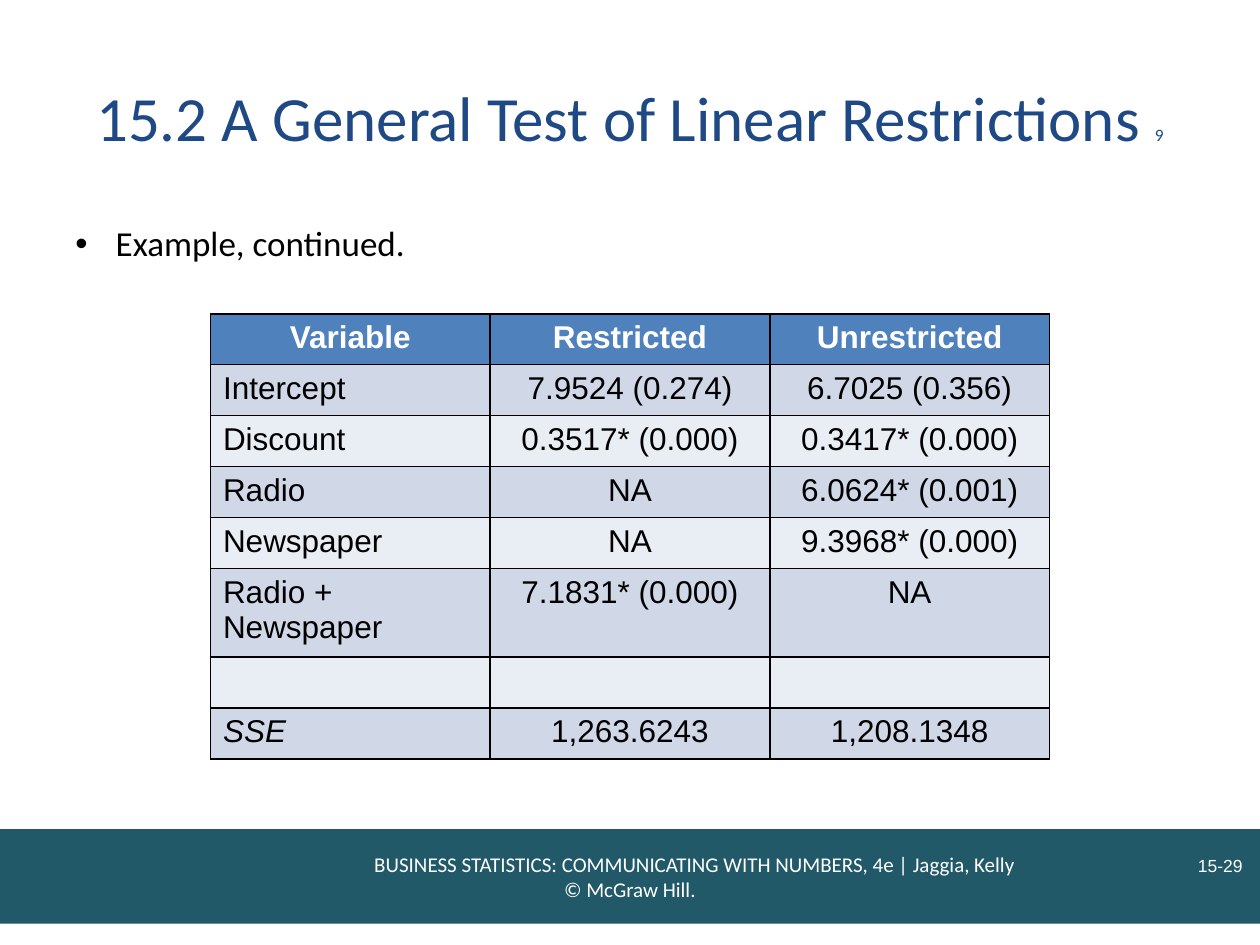
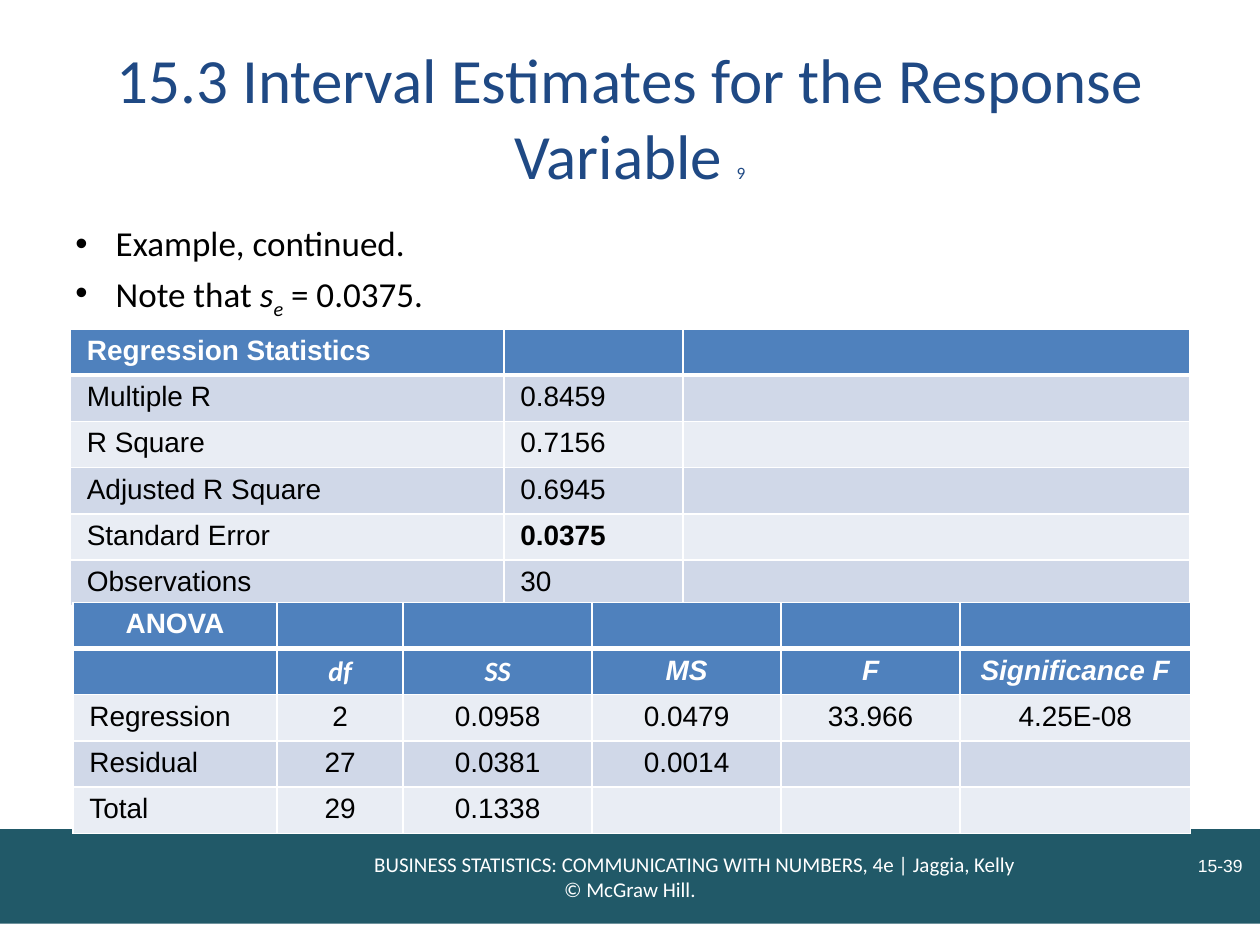
from dataclasses import dataclass
from typing import NamedTuple

from lxml import etree
from pptx import Presentation
from pptx.dml.color import RGBColor
from pptx.enum.shapes import MSO_SHAPE
from pptx.enum.text import MSO_ANCHOR, PP_ALIGN
from pptx.oxml.ns import qn
from pptx.util import Inches, Pt

LEFT, CENTER, RIGHT = PP_ALIGN.LEFT, PP_ALIGN.CENTER, PP_ALIGN.RIGHT
TOP, MIDDLE, BOTTOM = MSO_ANCHOR.TOP, MSO_ANCHOR.MIDDLE, MSO_ANCHOR.BOTTOM
RECTANGLE = MSO_SHAPE.RECTANGLE

SLIDE_WIDTH, SLIDE_HEIGHT = Inches(10), Inches(7.5)
COLUMN, ROW = SLIDE_WIDTH / 100, SLIDE_HEIGHT / 100
BLANK_LAYOUT = 6
HEADING_FONT, DATA_FONT = "Calibri", "Arial"
COLORS = {
    "title": "1F4984",
    "band": "215968",
    "header": "4F81BD",
    "odd_row": "D0D8E8",
    "even_row": "E9EDF4",
    "black": "000000",
    "white": "FFFFFF",
}
FOOTER_LINES = (
    "BUSINESS STATISTICS: COMMUNICATING WITH NUMBERS, 4e | Jaggia, Kelly",
    "© McGraw Hill.",
)
FOOTER_INDENT = Inches(1.03)
BULLET_INDENT = Inches(0.32)


class Area(NamedTuple):
    left: float
    top: float
    width: float
    height: float

    def lengths(self) -> tuple:
        return (
            round(self.left * COLUMN),
            round(self.top * ROW),
            round(self.width * COLUMN),
            round(self.height * ROW),
        )


class Piece(NamedTuple):
    text: str
    italic: bool = False
    baseline: int = 0


@dataclass(frozen=True)
class DataTable:
    area: Area
    column_widths: tuple
    rows: tuple
    size: float
    border: str
    header_rows: int = 1
    header_line: float = 1
    side_margin: float = 0.1
    centered: bool = True
    bold: tuple = ()
    italic: tuple = ()
    heading_font: tuple = ()


@dataclass(frozen=True)
class Page:
    title: str
    title_number: str
    slide_number: str
    bullets: tuple
    tables: tuple


TITLE_AREA = Area(5, 4, 90, 16.67)
BAND_AREA = Area(0, 87.73, 100, 10)
NUMBER_AREA = Area(84.6, 86.67, 15, 6.67)
BULLET_LEFT, BULLET_TOP, BULLET_WIDTH, BULLET_HEIGHT = 5, 23.33, 90, 5.6
CONTINUED = (Piece("Example, continued."),)

RESTRICTIONS = DataTable(
    area=Area(16.7, 33.2, 66.6, 43.2),
    column_widths=(22.2,) * 3,
    rows=(
        ("Variable", "Restricted", "Unrestricted"),
        ("Intercept", "7.9524 (0.274)", "6.7025 (0.356)"),
        ("Discount", "0.3517* (0.000)", "0.3417* (0.000)"),
        ("Radio", "NA", "6.0624* (0.001)"),
        ("Newspaper", "NA", "9.3968* (0.000)"),
        ("Radio + Newspaper", "7.1831* (0.000)", "NA"),
        ("", "", ""),
        ("SSE", "1,263.6243", "1,208.1348"),
    ),
    size=18,
    border="black",
    italic=((7, 0),),
)
REGRESSION = DataTable(
    area=Area(5.6, 34.8, 88.7, 28.67),
    column_widths=(34.4, 14.2, 40.2),
    rows=(
        ("Regression Statistics", "", ""),
        ("Multiple R", "0.8459", ""),
        ("R Square", "0.7156", ""),
        ("Adjusted R Square", "0.6945", ""),
        ("Standard Error", "0.0375", ""),
        ("Observations", "30", ""),
    ),
    size=16,
    border="white",
    header_line=3,
    side_margin=0.13,
    centered=False,
    bold=((4, 1),),
)
ANOVA = DataTable(
    area=Area(5.8, 63.73, 88.7, 24),
    column_widths=(16.2, 10, 15, 15, 14.2, 18.3),
    rows=(
        ("ANOVA", "", "", "", "", ""),
        ("", "df", "SS", "MS", "F", "Significance F"),
        ("Regression", "2", "0.0958", "0.0479", "33.966", "4.25E-08"),
        ("Residual", "27", "0.0381", "0.0014", "", ""),
        ("Total", "29", "0.1338", "", "", ""),
    ),
    size=16,
    border="white",
    header_rows=2,
    header_line=3,
    side_margin=0.13,
    italic=tuple((1, column) for column in range(1, 6)),
    heading_font=((1, 1), (1, 2)),
)
PAGES = (
    Page(
        "15.2 A General Test of Linear Restrictions ", "9", "15-29",
        (CONTINUED,), (RESTRICTIONS,),
    ),
    Page(
        "15.3 Interval Estimates for the Response Variable ", "9", "15-39",
        (
            CONTINUED,
            (
                Piece("Note that "),
                Piece("s", italic=True),
                Piece("e", italic=True, baseline=-25000),
                Piece(" = 0.0375."),
            ),
        ),
        (REGRESSION, ANOVA),
    ),
)


def rgb(name: str) -> RGBColor:
    return RGBColor.from_string(COLORS[name])


def format_run(run, font: str, size: float, color: str,
               bold: bool = False, italic: bool = False) -> None:
    run.font.name = font
    run.font.size = Pt(size)
    run.font.color.rgb = rgb(color)
    run.font.bold = bold
    run.font.italic = italic


def add_text_area(slide, area: Area, anchor):
    text_frame = slide.shapes.add_textbox(*area.lengths()).text_frame
    text_frame.word_wrap = True
    text_frame.vertical_anchor = anchor
    return text_frame


def add_band(slide) -> None:
    band = slide.shapes.add_shape(RECTANGLE, *BAND_AREA.lengths())
    band.shadow.inherit = False
    band.fill.solid()
    band.fill.fore_color.rgb = rgb("band")
    band.line.fill.background()
    band.text_frame.vertical_anchor = MIDDLE
    band.text_frame.text = "\n".join(FOOTER_LINES)
    for paragraph in band.text_frame.paragraphs:
        paragraph.alignment = CENTER
        format_run(paragraph.runs[0], HEADING_FONT, 12, "white")
    first_line = band.text_frame.paragraphs[0]
    first_line._p.get_or_add_pPr().set("marL", str(FOOTER_INDENT))


def add_slide_number(slide, number: str) -> None:
    text_frame = add_text_area(slide, NUMBER_AREA, BOTTOM)
    text_frame.text = number
    paragraph = text_frame.paragraphs[0]
    paragraph.alignment = RIGHT
    format_run(paragraph.runs[0], DATA_FONT, 10, "white")


def add_title(slide, title: str, number: str) -> None:
    text_frame = add_text_area(slide, TITLE_AREA, MIDDLE)
    paragraph = text_frame.paragraphs[0]
    paragraph.alignment = CENTER
    for text, size in ((title, 36), (number, 9.9)):
        run = paragraph.add_run()
        run.text = text
        format_run(run, HEADING_FONT, size, "title")


def add_bullets(slide, bullets: tuple) -> None:
    area = Area(BULLET_LEFT, BULLET_TOP, BULLET_WIDTH, BULLET_HEIGHT * len(bullets))
    text_frame = add_text_area(slide, area, TOP)
    for index, pieces in enumerate(bullets):
        paragraph = text_frame.add_paragraph() if index else text_frame.paragraphs[0]
        properties = paragraph._p.get_or_add_pPr()
        properties.set("marL", str(BULLET_INDENT))
        properties.set("indent", str(-BULLET_INDENT))
        etree.SubElement(properties, qn("a:buFont"), typeface=DATA_FONT)
        etree.SubElement(properties, qn("a:buChar"), char="•")
        paragraph.line_spacing = 0.9
        if index:
            paragraph.space_before = Pt(5)
        for piece in pieces:
            run = paragraph.add_run()
            run.text = piece.text
            format_run(run, HEADING_FONT, 20, "black", italic=piece.italic)
            if piece.baseline:
                run._r.get_or_add_rPr().set("baseline", str(piece.baseline))


def add_borders(cell, color: str, top: float, bottom: float) -> None:
    properties = cell._tc.get_or_add_tcPr()
    for side, width in (("L", 1), ("R", 1), ("T", top), ("B", bottom)):
        line = etree.SubElement(properties, qn(f"a:ln{side}"), w=str(Pt(width)))
        fill = etree.SubElement(line, qn("a:solidFill"))
        etree.SubElement(fill, qn("a:srgbClr"), val=COLORS[color])


def fill_cell(cell, data: DataTable, row: int, column: int) -> None:
    position = (row, column)
    is_header = row < data.header_rows
    add_borders(
        cell, data.border,
        top=data.header_line if row == 1 else 1,
        bottom=data.header_line if row == 0 else 1,
    )
    cell.fill.solid()
    stripe = "odd_row" if row % 2 else "even_row"
    cell.fill.fore_color.rgb = rgb("header" if is_header else stripe)
    cell.margin_left = cell.margin_right = Inches(data.side_margin)
    paragraph = cell.text_frame.paragraphs[0]
    paragraph.text = data.rows[row][column]
    centered = data.centered and (is_header or column > 0)
    paragraph.alignment = CENTER if centered else LEFT
    for run in paragraph.runs:
        format_run(
            run,
            HEADING_FONT if position in data.heading_font else DATA_FONT,
            data.size,
            "white" if is_header else "black",
            bold=is_header or position in data.bold,
            italic=position in data.italic,
        )
    if not paragraph.runs:
        etree.SubElement(paragraph._p, qn("a:endParaRPr"), sz=str(data.size * 100))


def add_data_table(slide, data: DataTable) -> None:
    row_count, column_count = len(data.rows), len(data.column_widths)
    frame = slide.shapes.add_table(row_count, column_count, *data.area.lengths())
    table = frame.table
    table.first_row = table.horz_banding = False
    for column, width in enumerate(data.column_widths):
        table.columns[column].width = round(width * COLUMN)
    for row in range(row_count):
        table.rows[row].height = round(data.area.height * ROW / row_count)
        for column in range(column_count):
            fill_cell(table.cell(row, column), data, row, column)


def add_page(presentation, page: Page) -> None:
    slide = presentation.slides.add_slide(presentation.slide_layouts[BLANK_LAYOUT])
    add_band(slide)
    add_slide_number(slide, page.slide_number)
    add_title(slide, page.title, page.title_number)
    add_bullets(slide, page.bullets)
    for data in page.tables:
        add_data_table(slide, data)


def main() -> None:
    presentation = Presentation()
    presentation.slide_width, presentation.slide_height = SLIDE_WIDTH, SLIDE_HEIGHT
    for page in PAGES:
        add_page(presentation, page)
    presentation.save("out.pptx")


if __name__ == "__main__":
    main()
